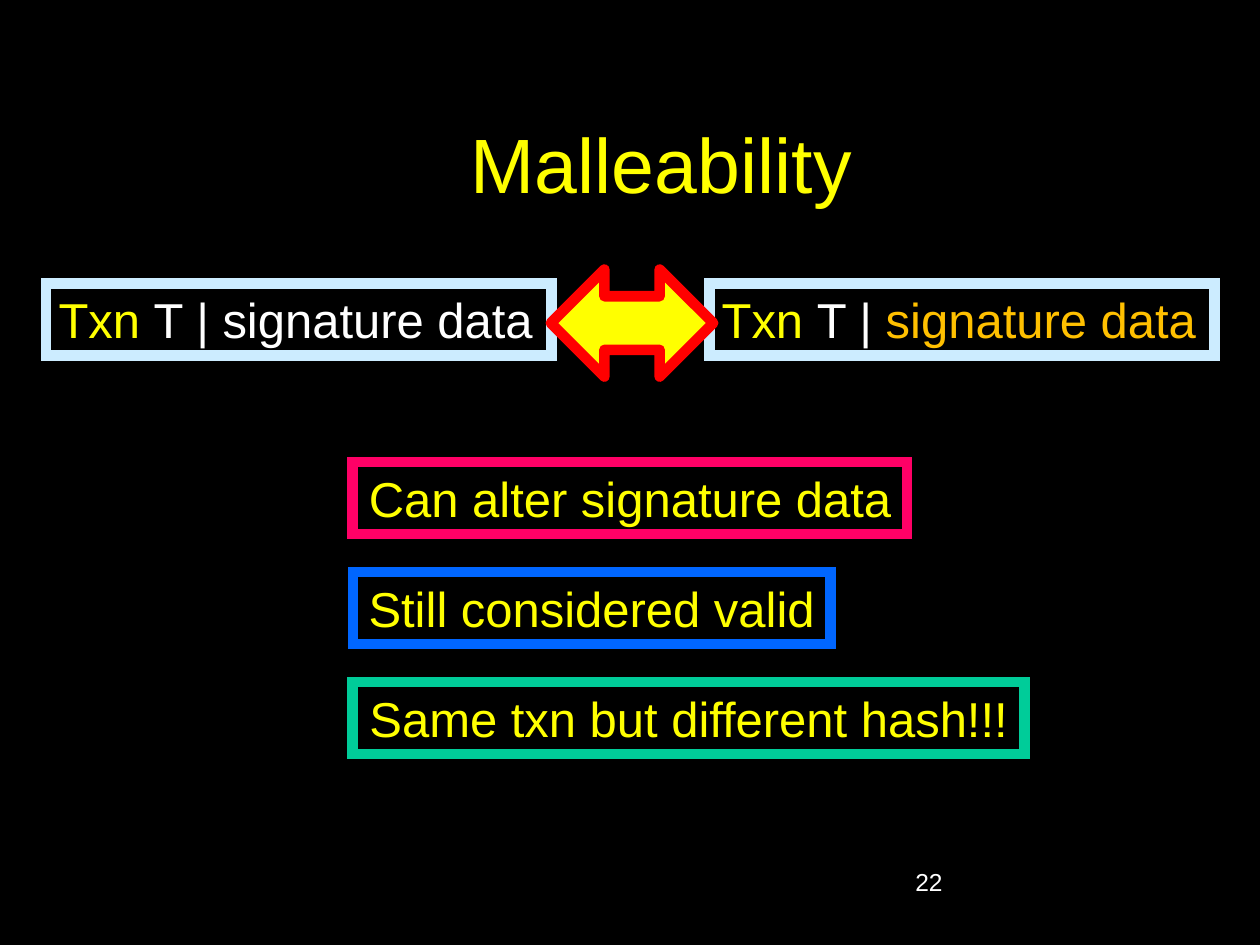
from lxml.etree import SubElement
from pptx import Presentation
from pptx.dml.color import RGBColor
from pptx.enum.shapes import MSO_SHAPE
from pptx.enum.text import MSO_ANCHOR, MSO_AUTO_SIZE, PP_ALIGN
from pptx.oxml.ns import qn
from pptx.util import Pt

BLACK = RGBColor(0x00, 0x00, 0x00)
WHITE = RGBColor(0xFF, 0xFF, 0xFF)
YELLOW = RGBColor(0xFF, 0xFF, 0x00)
ORANGE = RGBColor(0xFF, 0xC0, 0x00)
RED = RGBColor(0xFF, 0x00, 0x00)
PALE_BLUE = RGBColor(0xCC, 0xEC, 0xFF)
PINK = RGBColor(0xFF, 0x00, 0x66)
BLUE = RGBColor(0x00, 0x66, 0xFF)
GREEN = RGBColor(0x00, 0xCC, 0x99)

FONT = "Arial"
BOX_HEIGHT = 41.1


def add_run(paragraph, text, size, color):
    run = paragraph.add_run()
    run.text = text
    run.font.name = FONT
    run.font.size = Pt(size)
    run.font.color.rgb = color


def add_outlined(shapes, preset, box, fill, outline, join):
    outlined = shapes.add_shape(preset, *(Pt(length) for length in box))
    outlined.shadow.inherit = False
    outlined.fill.solid()
    outlined.fill.fore_color.rgb = fill
    outlined.line.color.rgb = outline
    outlined.line.width = Pt(6)
    # Corner style of the thick outline
    corner = SubElement(outlined.line._get_or_add_ln(), qn(f"a:{join}"))
    if join == "miter":
        corner.set("lim", "800000")
    return outlined


def add_label(shapes, box, outline, runs, align):
    label = add_outlined(shapes, MSO_SHAPE.RECTANGLE, box, BLACK, outline, "miter")
    frame = label.text_frame
    frame.word_wrap = False
    frame.auto_size = MSO_AUTO_SIZE.SHAPE_TO_FIT_TEXT
    frame.vertical_anchor = MSO_ANCHOR.TOP
    paragraph = frame.paragraphs[0]
    paragraph.alignment = align
    for text, color in runs:
        add_run(paragraph, text, 28, color)


def place_title(slide, left, top, width, height):
    title = slide.shapes.title
    title.left, title.top = Pt(left), Pt(top)
    title.width, title.height = Pt(width), Pt(height)
    title.text_frame.vertical_anchor = MSO_ANCHOR.MIDDLE
    heading = title.text_frame.paragraphs[0]
    heading.alignment = PP_ALIGN.CENTER
    add_run(heading, "\tMalleability", 44, YELLOW)


def place_page_number(slide, left, top, width, height):
    number = slide.shapes.add_textbox(Pt(left), Pt(top), Pt(width), Pt(height))
    number.text_frame.word_wrap = True
    add_run(number.text_frame.paragraphs[0], "22", 14, WHITE)


def place_transactions(slide, left, top, width):
    """Two equal transactions, one at each end of the given width."""
    label_width = 288.7
    before = [("Txn ", YELLOW), ("T | signature data", WHITE)]
    after = [("Txn ", YELLOW), ("T | ", WHITE), ("signature data", ORANGE)]
    pair = slide.shapes.add_group_shape()
    for x, runs in ((left, before), (left + width - label_width, after)):
        add_label(pair.shapes, (x, top, label_width, BOX_HEIGHT),
                  PALE_BLUE, runs, PP_ALIGN.LEFT)


def place_findings(slide, left, top, pitch):
    findings = [
        ("Can alter signature data", 316.8, PINK),
        ("Still considered valid", 272.9, BLUE),
        ("Same txn but different hash!!!", 383.8, GREEN),
    ]
    for row, (text, width, outline) in enumerate(findings):
        add_label(slide.shapes, (left, top + row * pitch, width, BOX_HEIGHT),
                  outline, [(text, YELLOW)], PP_ALIGN.CENTER)


def place_arrow(slide, *box):
    add_outlined(slide.shapes, MSO_SHAPE.LEFT_RIGHT_ARROW, box, YELLOW, RED, "round")


def main():
    deck = Presentation()
    deck.slide_width, deck.slide_height = Pt(720), Pt(540)
    slide = deck.slides.add_slide(deck.slide_layouts[5])  # Title Only
    slide.background.fill.solid()
    slide.background.fill.fore_color.rgb = BLACK

    place_title(slide, 54, 48, 612, 90)
    place_page_number(slide, 516, 492, 150, 36)
    place_transactions(slide, 26.4, 162, 667.6)
    place_findings(slide, 201.6, 264.1, 62.8)
    place_arrow(slide, 314.8, 154, 92.8, 61.2)
    deck.save("out.pptx")


if __name__ == "__main__":
    main()
